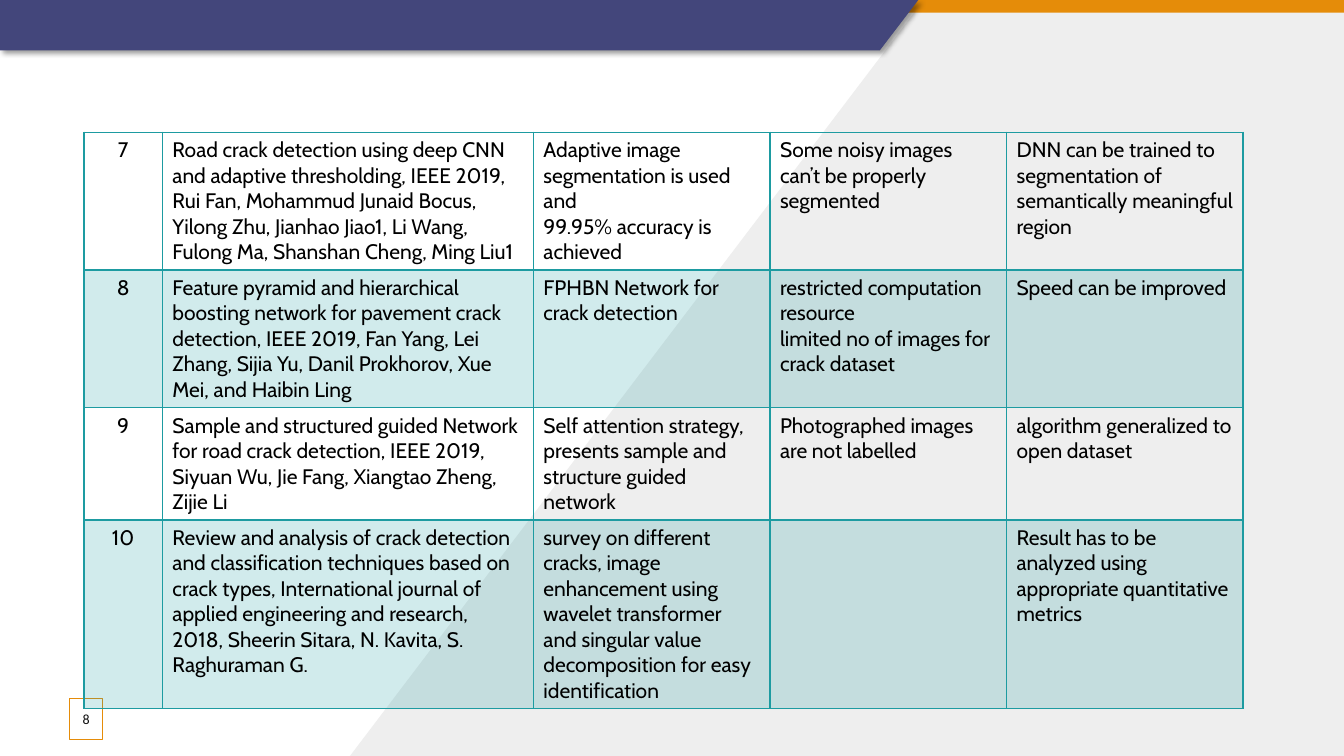
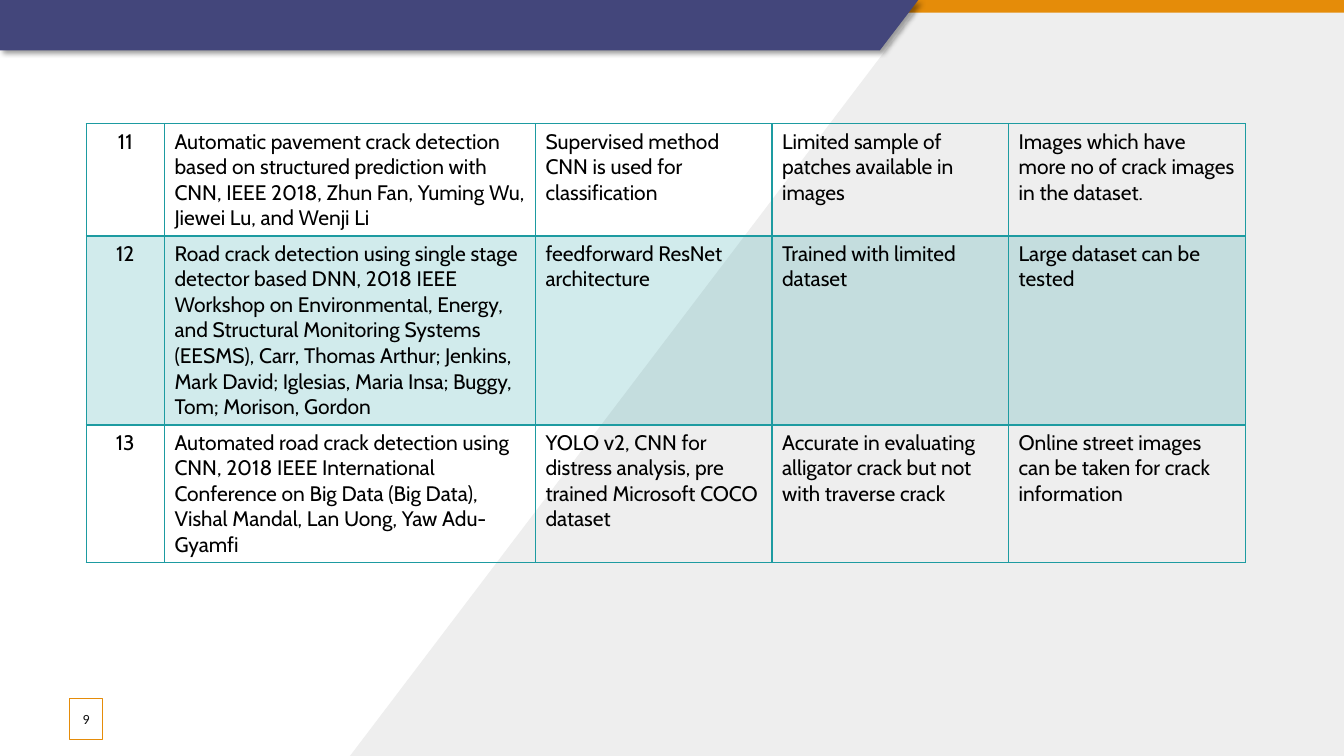
"""Literature survey slides: two continued tables on a banded layout."""
from pptx import Presentation
from pptx.dml.color import RGBColor
from pptx.enum import shapes, text
from pptx.oxml import parse_xml
from pptx.oxml.ns import nsdecls, qn
from pptx.util import Pt

NAVY, ORANGE, GREY, TEAL = "43467B", "E58C09", "EEEEEE", "1D9BA1"
WHITE, BLACK, DARK = "FFFFFF", "000000", "0D0D0D"
COLUMNS = [56, 265, 169, 169, 169]

SURVEYS = [
    {
        "page": "8", "at": (60, 94.5), "heights": [98, 98, 80, 135],
        "rows": [
            ["7",
             "Road crack detection using deep CNN and adaptive thresholding, IEEE 2019, "
             "Rui Fan, Mohammud Junaid Bocus, Yilong Zhu, Jianhao Jiao1, Li Wang, "
             "Fulong Ma, Shanshan Cheng, Ming Liu1",
             "Adaptive image segmentation is used and\n99.95% accuracy is achieved",
             "Some noisy images can’t be properly segmented",
             "DNN can be trained to segmentation of semantically meaningful region"],
            ["8",
             "Feature pyramid and hierarchical boosting network for pavement crack "
             "detection, IEEE 2019, Fan Yang, Lei Zhang, Sijia Yu, Danil Prokhorov, "
             "Xue Mei, and Haibin Ling",
             "FPHBN Network for crack detection",
             "restricted computation resource\nlimited no of images for crack dataset",
             "Speed can be improved"],
            ["9",
             "Sample and structured guided Network for road crack detection, IEEE 2019, "
             "Siyuan Wu, Jie Fang, Xiangtao Zheng, Zijie Li",
             "Self attention strategy,\npresents sample and structure guided network",
             "Photographed images are not labelled",
             "algorithm generalized to open dataset"],
            ["10",
             "Review and analysis of crack detection and classification techniques based "
             "on crack types, International journal of applied engineering and research, "
             "2018, Sheerin Sitara, N. Kavita, S. Raghuraman G.",
             "survey on different cracks, image enhancement using wavelet transformer "
             "and singular value decomposition for easy identification",
             "",
             "Result has to be analyzed using appropriate quantitative metrics"],
        ],
    },
    {
        "page": "9", "at": (61.5, 88.5), "heights": [80, 135, 98],
        "rows": [
            ["11",
             "Automatic pavement crack detection based on structured prediction with CNN, "
             "IEEE 2018, Zhun Fan, Yuming Wu, Jiewei Lu, and Wenji Li",
             "Supervised method CNN is used for classification",
             "Limited sample of patches available in images",
             "Images which have more no of crack images in the dataset."],
            ["12",
             "Road crack detection using single stage detector based DNN, 2018 IEEE "
             "Workshop on Environmental, Energy, and Structural Monitoring Systems "
             "(EESMS), Carr, Thomas Arthur; Jenkins, Mark David; Iglesias, Maria Insa; "
             "Buggy, Tom; Morison, Gordon",
             "feedforward ResNet architecture",
             "Trained with limited dataset",
             "Large dataset can be tested"],
            ["13",
             "Automated road crack detection using CNN, 2018 IEEE International "
             "Conference on Big Data (Big Data), Vishal Mandal, Lan Uong, "
             "Yaw Adu-Gyamfi",
             "YOLO v2, CNN for distress analysis, pre trained Microsoft COCO dataset",
             "Accurate in evaluating alligator crack but not with traverse crack",
             "Online street images can be taken for crack information"],
        ],
    },
]


def rgb(color):
    """Turn a hex string into a colour."""
    return RGBColor.from_string(color)


def paint(fill, props, color, alpha=100):
    """Fill solidly; props is the XML element that holds the fill."""
    fill.solid()
    fill.fore_color.rgb = rgb(color)
    if alpha < 100:
        clr = props.find(qn("a:solidFill")).find(qn("a:srgbClr"))
        clr.append(parse_xml(f'<a:alpha {nsdecls("a")} val="{alpha * 1000}"/>'))


def finish(sp, color, alpha=100):
    """Give a shape a flat fill with neither outline nor shadow."""
    sp.shadow.inherit = False
    paint(sp.fill, sp.element.spPr, color, alpha)
    sp.line.fill.background()
    return sp


def add_rect(s, x, y, w, h, color, alpha=100):
    """Add a plain rectangle."""
    sp = s.shapes.add_shape(shapes.MSO_SHAPE.RECTANGLE, Pt(x), Pt(y), Pt(w), Pt(h))
    return finish(sp, color, alpha)


def add_polygon(s, points, color):
    """Add a closed outline through the points."""
    start, *rest = [(Pt(x), Pt(y)) for x, y in points]
    builder = s.shapes.build_freeform(*start, scale=1.0)
    builder.add_line_segments(rest, close=True)
    return finish(builder.convert_to_shape(), color)


def add_shadow(sp):
    """Drop a soft shadow to the lower right."""
    sp.element.spPr.find(qn("a:effectLst")).append(parse_xml(
        f'<a:outerShdw {nsdecls("a")} blurRad="{Pt(4)}" dist="{Pt(3)}" dir="2700000" '
        f'algn="tl" rotWithShape="0"><a:srgbClr val="{BLACK}"><a:alpha val="40000"/>'
        '</a:srgbClr></a:outerShdw>'))


def add_text(tf, content, size, font, color, align):
    """Write one paragraph for each line of content."""
    for i, line in enumerate(content.split("\n")):
        p = tf.add_paragraph() if i else tf.paragraphs[0]
        p.alignment = align
        r = p.add_run()
        r.text = line
        r.font.size, r.font.name = Pt(size), font
        r.font.color.rgb = rgb(color)


def set_borders(cell, **widths):
    """Draw the borders of a cell, widths given by side."""
    props = cell._tc.get_or_add_tcPr()
    for i, side in enumerate("LRTB"):
        props.insert(i, parse_xml(
            f'<a:ln{side} {nsdecls("a")} w="{Pt(widths.get(side, 1))}"><a:solidFill>'
            f'<a:srgbClr val="{TEAL}"/></a:solidFill></a:ln{side}>'))


def add_bands(s, layout):
    """Build the background bands and move them to the layout."""
    bands = [
        add_polygon(s, [(656, 0), (960, 0), (960, 540), (250, 540), (656, 5)], GREY),
        add_rect(s, 0, 0, 960, 9, ORANGE),
        add_polygon(s, [(0, 0), (656, 0), (628.5, 36), (0, 36)], NAVY),
    ]
    add_shadow(bands[-1])
    for band in bands:
        layout.shapes.element.append(band.element)


def add_page_box(s, page):
    """Add the framed page number."""
    sp = add_rect(s, 49.5, 499, 24, 29, WHITE, 82)
    paint(sp.line.fill, sp.line._ln, ORANGE)
    sp.line.width = Pt(0.75)
    tf = sp.text_frame
    tf.margin_left = tf.margin_right = 0
    tf.vertical_anchor = text.MSO_ANCHOR.MIDDLE
    add_text(tf, page, 10, "Calibri", DARK, text.PP_ALIGN.CENTER)


def add_survey(s, at, heights, rows):
    """Add the table, tinting every second row."""
    x, y = at
    table = s.shapes.add_table(len(rows), len(COLUMNS), Pt(x), Pt(y),
                               Pt(sum(COLUMNS)), Pt(sum(heights))).table
    table.first_row = table.horz_banding = False
    for column, width in zip(table.columns, COLUMNS):
        column.width = Pt(width)
    for i, (row, height) in enumerate(zip(rows, heights)):
        table.rows[i].height = Pt(height)
        for j, content in enumerate(row):
            cell = table.cell(i, j)
            if i % 2:
                paint(cell.fill, cell._tc.tcPr, TEAL, 20)
            else:
                cell.fill.background()
            set_borders(cell, T=2 if i == 1 else 1, B=2 if i == 0 else 1)
            if content:
                align = text.PP_ALIGN.LEFT if j else text.PP_ALIGN.CENTER
                add_text(cell.text_frame, content, 15, "Cabin", BLACK, align)


def main():
    """Build and save the presentation."""
    prs = Presentation()
    prs.slide_width, prs.slide_height = Pt(960), Pt(540)
    layout = prs.slide_layouts[6]
    for i, survey in enumerate(SURVEYS):
        s = prs.slides.add_slide(layout)
        if i == 0:
            add_bands(s, layout)
        add_page_box(s, survey["page"])
        add_survey(s, survey["at"], survey["heights"], survey["rows"])
    prs.save("out.pptx")


if __name__ == "__main__":
    main()
